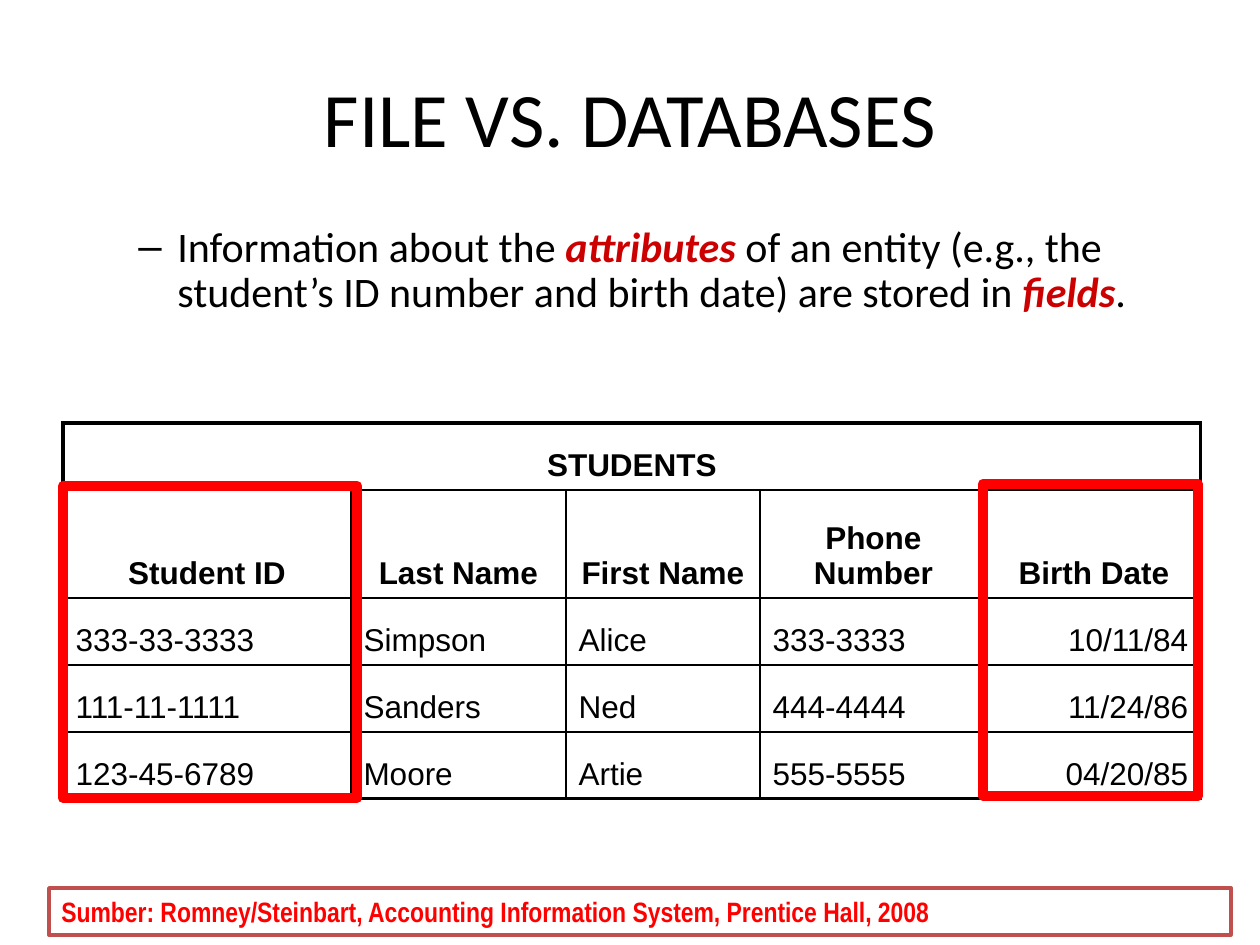
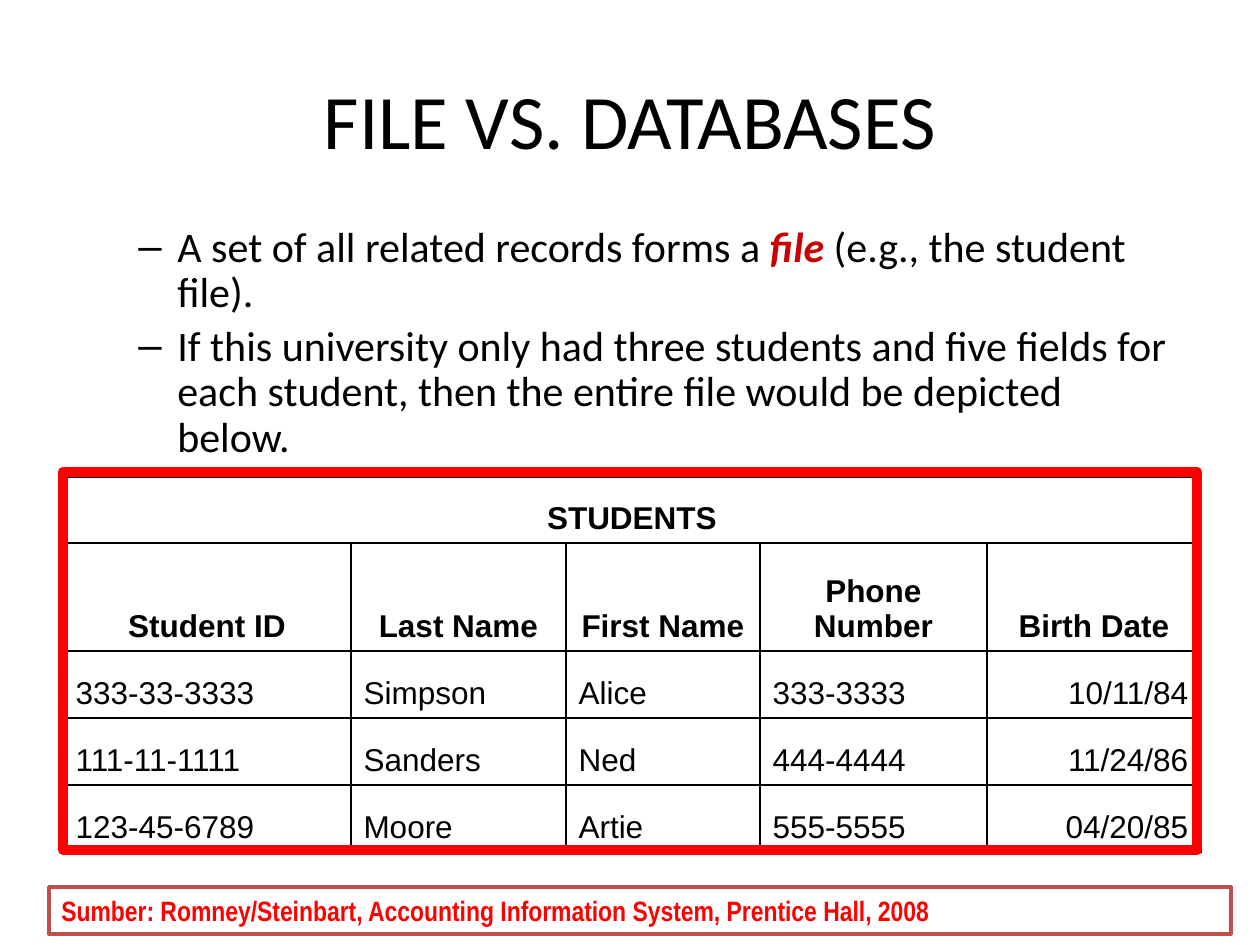
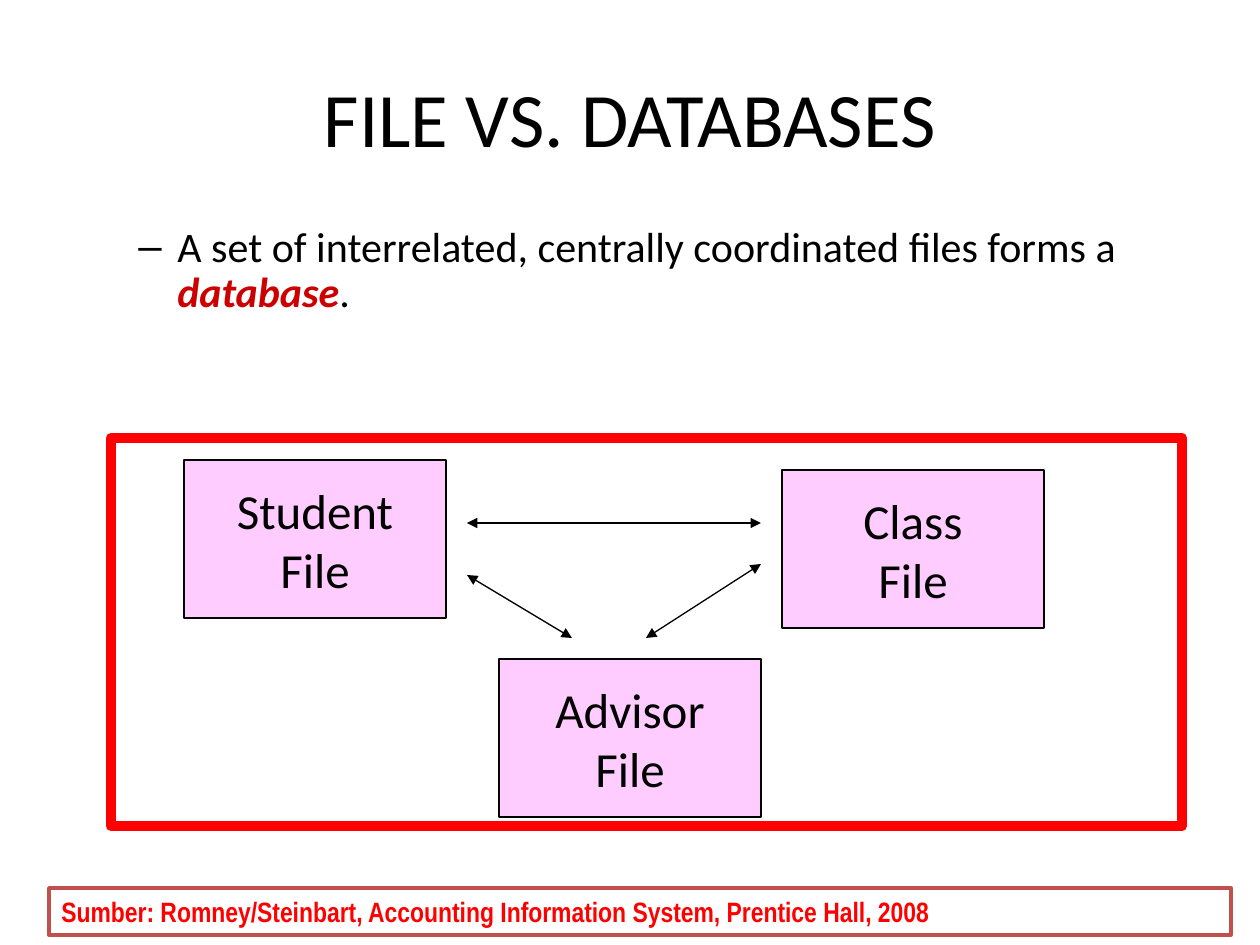
import pptx
import pptx.chart.data
import pptx.dml.color
import pptx.enum.shapes
import pptx.enum.text
import pptx.oxml
import pptx.oxml.ns
import pptx.util

PX = 914400 / 126
COLOURS = {
    "text": "000000",
    "paper": "FFFFFF",
    "key_term": "CC0000",
    "highlight": "FF0000",
    "source_border": "C0504D",
    "file": "FFCCFF",
}
ALIGN = pptx.enum.text.PP_ALIGN
ANCHOR = pptx.enum.text.MSO_ANCHOR
RECTANGLE = pptx.enum.shapes.MSO_SHAPE.RECTANGLE

TITLE = "FILE VS. DATABASES"
SOURCE = "Sumber: Romney/Steinbart, Accounting Information System, Prentice Hall, 2008"
COLUMN_WIDTHS = [288, 215, 194, 227, 214]
ROW_HEIGHTS = [67, 108, 67, 67, 67]
STUDENTS = [
    ["STUDENTS", "", "", "", ""],
    ["Student ID", "Last Name", "First Name", "Phone Number", "Birth Date"],
    ["333-33-3333", "Simpson", "Alice", "333-3333", "10/11/84"],
    ["111-11-1111", "Sanders", "Ned", "444-4444", "11/24/86"],
    ["123-45-6789", "Moore", "Artie", "555-5555", "04/20/85"],
]
FILE_SIZE = (262, 158)
FILES = [("Student", 73, 22), ("Class", 671, 32), ("Advisor", 388, 221)]
FILE_ARROWS = [(356, 85, 650, 85), (356, 137, 461, 200), (535, 200, 650, 126)]


def emu(*lengths):
    return [pptx.util.Emu(round(length * PX)) for length in lengths]


def rgb(name):
    return pptx.dml.color.RGBColor.from_string(COLOURS[name])


def drawing_xml(text):
    """Parse one element whose tags use the a: prefix."""
    head, rest = text.split(" ", 1)
    namespace = pptx.oxml.ns.nsdecls("a")
    return pptx.oxml.parse_xml(f"{head} {namespace} {rest}")


def add_span(para, text, size, font="Calibri", colour="text", bold=False, italic=False):
    span = para.add_run()
    span.text = text
    span.font.name = font
    span.font.size = pptx.util.Pt(size)
    span.font.bold = bold
    span.font.italic = italic
    span.font.color.rgb = rgb(colour)


def add_rectangle(page, box, line, width, fill=None):
    shape = page.shapes.add_shape(RECTANGLE, *emu(*box))
    shape.shadow.inherit = False
    if fill:
        shape.fill.solid()
        shape.fill.fore_color.rgb = rgb(fill)
    else:
        shape.fill.background()
    shape.line.color.rgb = rgb(line)
    shape.line.width = pptx.util.Pt(width)
    return shape


def add_highlight(page, box):
    add_rectangle(page, box, "highlight", 6)


def add_text_frame(page, box, anchor):
    frame = page.shapes.add_textbox(*emu(*box)).text_frame
    frame.word_wrap = True
    frame.vertical_anchor = anchor
    return frame


def add_title(page, box):
    para = add_text_frame(page, box, ANCHOR.MIDDLE).paragraphs[0]
    para.alignment = ALIGN.CENTER
    add_span(para, TITLE, 44)


def add_points(page, box, points):
    """Write dashed points; every second piece of a point is a key term."""
    frame = add_text_frame(page, box, ANCHOR.TOP)
    hanging, = emu(39)
    margin, = emu(102)
    for number, pieces in enumerate(points):
        para = frame.add_paragraph() if number else frame.paragraphs[0]
        para.level = 1
        para.line_spacing = 0.9
        if number:
            para.space_before = pptx.util.Pt(4.8)
        properties = para._p.get_or_add_pPr()
        properties.set("marL", str(margin))
        properties.set("indent", str(-hanging))
        properties.append(drawing_xml('<a:buFont typeface="Arial"/>'))
        properties.append(drawing_xml('<a:buChar char="–"/>'))
        for index, piece in enumerate(pieces):
            is_term = index % 2 == 1
            add_span(para, piece, 24, colour="key_term" if is_term else "text",
                     bold=is_term, italic=is_term)


def add_source(page, box):
    shape = add_rectangle(page, box, "source_border", 2, "paper")
    frame = shape.text_frame
    frame.word_wrap = True
    frame.vertical_anchor = ANCHOR.TOP
    frame.auto_size = pptx.enum.text.MSO_AUTO_SIZE.SHAPE_TO_FIT_TEXT
    para = frame.paragraphs[0]
    para.alignment = ALIGN.LEFT
    add_span(para, SOURCE, 16, "Arial Narrow", "highlight", bold=True)


def set_borders(cell, widths):
    """Draw the left, right, top and bottom borders, widths in points."""
    properties = cell._tc.get_or_add_tcPr()
    for index, (side, width) in enumerate(zip("LRTB", widths)):
        properties.insert(index, drawing_xml(
            f'<a:ln{side} w="{width * 12700}"><a:solidFill>'
            f'<a:srgbClr val="{COLOURS["text"]}"/></a:solidFill></a:ln{side}>'))


def add_student_table(page, left, top):
    box = (left, top, sum(COLUMN_WIDTHS), sum(ROW_HEIGHTS))
    last_row, last_column = len(ROW_HEIGHTS) - 1, len(COLUMN_WIDTHS) - 1
    table = page.shapes.add_table(last_row + 1, last_column + 1, *emu(*box)).table
    table.first_row = table.horz_banding = False
    for column, width in zip(table.columns, emu(*COLUMN_WIDTHS)):
        column.width = width
    for row, height in zip(table.rows, emu(*ROW_HEIGHTS)):
        row.height = height
    table.cell(0, 0).merge(table.cell(0, last_column))
    for row, values in enumerate(STUDENTS):
        for column, value in enumerate(values):
            cell = table.cell(row, column)
            cell.fill.background()
            cell.vertical_anchor = ANCHOR.BOTTOM
            outer = (column == 0, row == 0 or column == last_column,
                     row == 0, row == last_row)
            set_borders(cell, [2 if edge else 1 for edge in outer])
            if not value:
                continue
            para = cell.text_frame.paragraphs[0]
            if row < 2:
                para.alignment = ALIGN.CENTER
            elif column == last_column:
                para.alignment = ALIGN.RIGHT
            add_span(para, value, 18, "Arial", bold=row < 2)


def add_file(page, name, left, top):
    shape = add_rectangle(page, (left, top, *FILE_SIZE), "text", 0.75, "file")
    frame = shape.text_frame
    frame.vertical_anchor = ANCHOR.MIDDLE
    for para, word in ((frame.paragraphs[0], name), (frame.add_paragraph(), "File")):
        para.alignment = ALIGN.CENTER
        add_span(para, word, 28)


def add_double_arrow(page, ends):
    arrow = page.shapes.add_connector(
        pptx.enum.shapes.MSO_CONNECTOR.STRAIGHT, *emu(*ends))
    arrow.line.color.rgb = rgb("text")
    arrow.line.width = pptx.util.Pt(0.75)
    line = arrow.line._get_or_add_ln()
    for end in ("headEnd", "tailEnd"):
        line.append(drawing_xml(f'<a:{end} type="triangle"/>'))
    arrow._element.spPr.append(drawing_xml("<a:effectLst />"))


def add_database_diagram(page, box):
    left, top = box[:2]
    for name, across, down in FILES:
        add_file(page, name, left + across, top + down)
    for x1, y1, x2, y2 in FILE_ARROWS:
        add_double_arrow(page, (left + x1, top + y1, left + x2, top + y2))
    add_highlight(page, box)


def add_page(deck, points, title_top=38, source_top=888):
    page = deck.slides.add_slide(deck.slide_layouts[6])
    add_title(page, (63, title_top, 1134, 158))
    add_points(page, (63, 220, 1134, 250), points)
    add_source(page, (49, source_top, 1182, 47))
    return page


def add_fields_page(deck):
    page = add_page(deck, [[
        "Information about the ", "attributes",
        " of an entity (e.g., the student’s ID number and birth date) are stored in ",
        "fields", "."]])
    left, top = 63, 423
    add_student_table(page, left, top)
    add_highlight(page, (left, top + 63, 294, 312))
    add_highlight(page, (left + 920, top + 61, 215, 312))


def add_file_page(deck):
    page = add_page(deck, [
        ["A set of all related records forms a ", "file", " (e.g., the student file)."],
        ["If this university only had three students and five fields for each student, "
         "then the entire file would be depicted below."],
    ], title_top=40, source_top=887)
    left, top = 63, 476
    add_student_table(page, left, top)
    add_highlight(page, (left, top - 4, 1134, 378))


def add_database_page(deck):
    page = add_page(deck, [[
        "A set of interrelated, centrally coordinated files forms a ", "database", "."]])
    add_database_diagram(page, (111, 438, 1071, 388))


def main():
    deck = pptx.Presentation()
    deck.slide_width, deck.slide_height = emu(1260, 945)
    add_fields_page(deck)
    add_file_page(deck)
    add_database_page(deck)
    deck.save("out.pptx")


if __name__ == "__main__":
    main()
